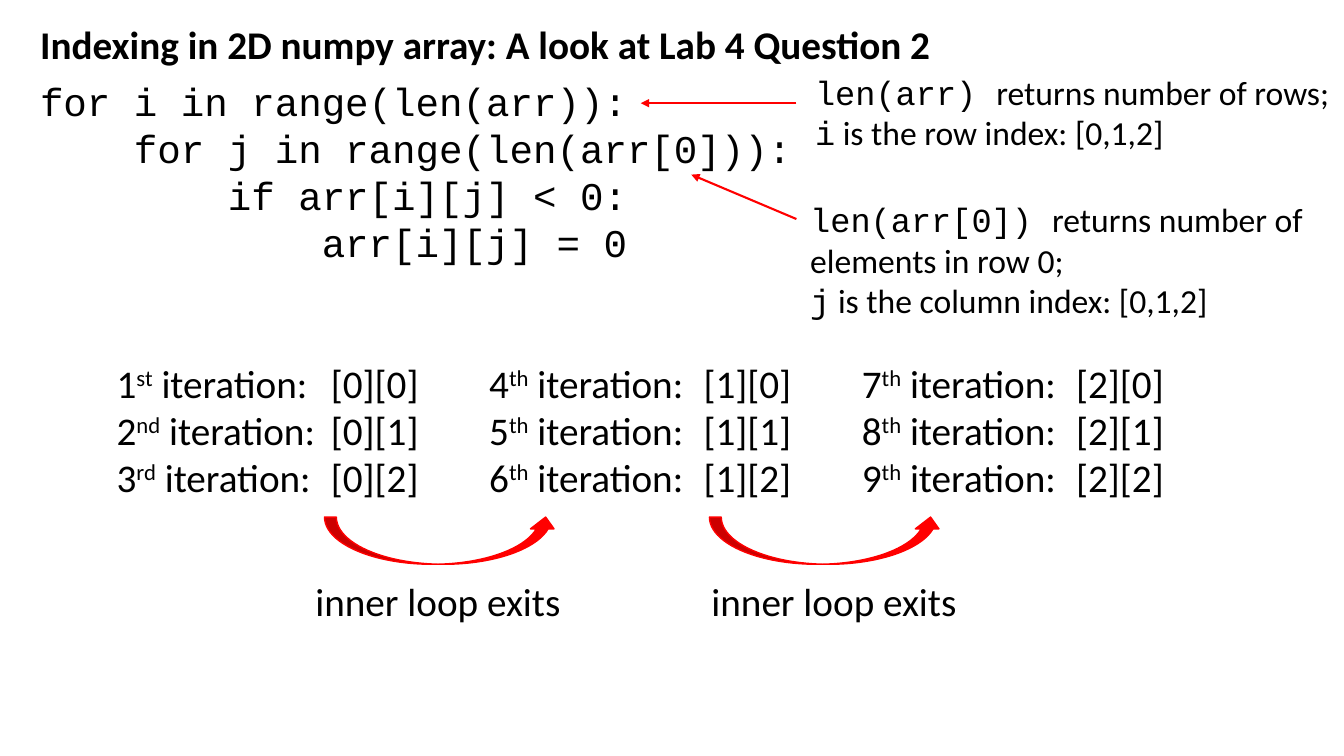
from lxml.etree import SubElement
from pptx import Presentation
from pptx.dml.color import RGBColor
from pptx.enum.shapes import MSO_CONNECTOR, MSO_SHAPE
from pptx.enum.text import MSO_ANCHOR, MSO_AUTO_SIZE, PP_ALIGN
from pptx.oxml.ns import qn
from pptx.util import Cm, Pt

BLACK = "000000"
RED = "FF0000"
CODE = "Courier New"


def add_span(para, text, size=28, font="Calibri", bold=False, raised=False):
    span = para.add_run()
    span.text = text
    span.font.size = Pt(size)
    span.font.name = font
    span.font.bold = bold
    span.font.color.rgb = RGBColor.from_string(BLACK)
    if raised:
        span._r.get_or_add_rPr().set("baseline", "30000")


def add_paragraphs(box, lines, **format):
    """Fill the box; each line is a list of (text, extra format) pairs."""
    frame = box.text_frame
    frame.word_wrap = True
    frame.auto_size = MSO_AUTO_SIZE.NONE
    frame.vertical_anchor = MSO_ANCHOR.TOP
    for number, line in enumerate(lines):
        para = frame.add_paragraph() if number else frame.paragraphs[0]
        para.alignment = PP_ALIGN.LEFT
        for text, extra in line:
            add_span(para, text, **{**format, **extra})


deck = Presentation()
deck.slide_width, deck.slide_height = Cm(33.87), Cm(19.05)
page = deck.slides.add_slide(deck.slide_layouts[5])
shapes = page.shapes

# Title
title = shapes.title
title.left, title.top, title.width, title.height = Cm(0.76), Cm(0.38), Cm(24.4), Cm(1.45)
heading = "Indexing in 2D numpy array: A look at Lab 4 Question 2"
add_paragraphs(title, [[(heading, {})]], bold=True)

# Nested loops
code_lines = [
    "for i in range(len(arr)):",
    "    for j in range(len(arr[0])):",
    "        if arr[i][j] < 0:",
    "            arr[i][j] = 0",
]
code_box = shapes.add_textbox(Cm(0.76), Cm(1.83), Cm(32.36), Cm(6.25))
add_paragraphs(code_box, [[(line, {})] for line in code_lines], font=CODE)

# Notes beside the code
code = {"font": CODE}
row_note = [[
    ("len(arr) ", code), ("returns number of rows; ", {}),
    ("i", code), (" is the row index: [0,1,2]", {}),
]]
column_note = [
    [("len(arr[0]) ", code), ("returns number of elements in row 0;", {})],
    [("j", code), (" is the column index: [0,1,2]", {})],
]
for left, top, height, note in [
    (20.29, 1.68, 2.31, row_note),
    (20.17, 4.9, 3.33, column_note),
]:
    note_box = shapes.add_textbox(Cm(left), Cm(top), Cm(13.56), Cm(height))
    add_paragraphs(note_box, note, size=24)

# Arrows from the notes to the code
for start_y, end_x, end_y in [(2.6, 16.15, 2.6), (5.52, 17.42, 4.4)]:
    pointer = shapes.add_connector(
        MSO_CONNECTOR.STRAIGHT, Cm(20.07), Cm(start_y), Cm(end_x), Cm(end_y))
    pointer.line.color.rgb = RGBColor.from_string(RED)
    pointer.line.width = Pt(1.5)
    SubElement(pointer.line._get_or_add_ln(), qn("a:tailEnd"), type="triangle")
    SubElement(pointer._element.spPr, qn("a:effectLst"))

# Iterations, one column for each row of the array
suffixes = {1: "st", 2: "nd", 3: "rd"}
for row in range(3):
    lines = []
    for column in range(3):
        count = 3 * row + column + 1
        lines.append([
            (str(count), {}),
            (suffixes.get(count, "th"), {"raised": True}),
            (f" iteration:\t[{row}][{column}]", {}),
        ])
    iteration_box = shapes.add_textbox(Cm(2.69 + 9.39 * row), Cm(8.92), Cm(8.7), Cm(3.84))
    add_paragraphs(iteration_box, lines)
    for para in iteration_box.text_frame.paragraphs:
        tabs = SubElement(para._p.get_or_add_pPr(), qn("a:tabLst"))
        SubElement(tabs, qn("a:tab"), pos=str(Cm(5.4)), algn="l")

# Steps from one row to the next
for arrow_left, label_left in [(8.18, 7.7), (17.88, 17.68)]:
    arrow = shapes.add_shape(
        MSO_SHAPE.CURVED_UP_ARROW, Cm(arrow_left), Cm(13.03), Cm(5.87), Cm(1.19))
    arrow.shadow.inherit = False
    arrow.fill.solid()
    arrow.fill.fore_color.rgb = RGBColor.from_string(RED)
    arrow.line.color.rgb = RGBColor.from_string(RED)
    arrow.line.width = Pt(1)
    label = shapes.add_textbox(Cm(label_left), Cm(14.43), Cm(6.9), Cm(1.45))
    add_paragraphs(label, [[("inner loop exits", {})]])

deck.save("out.pptx")
